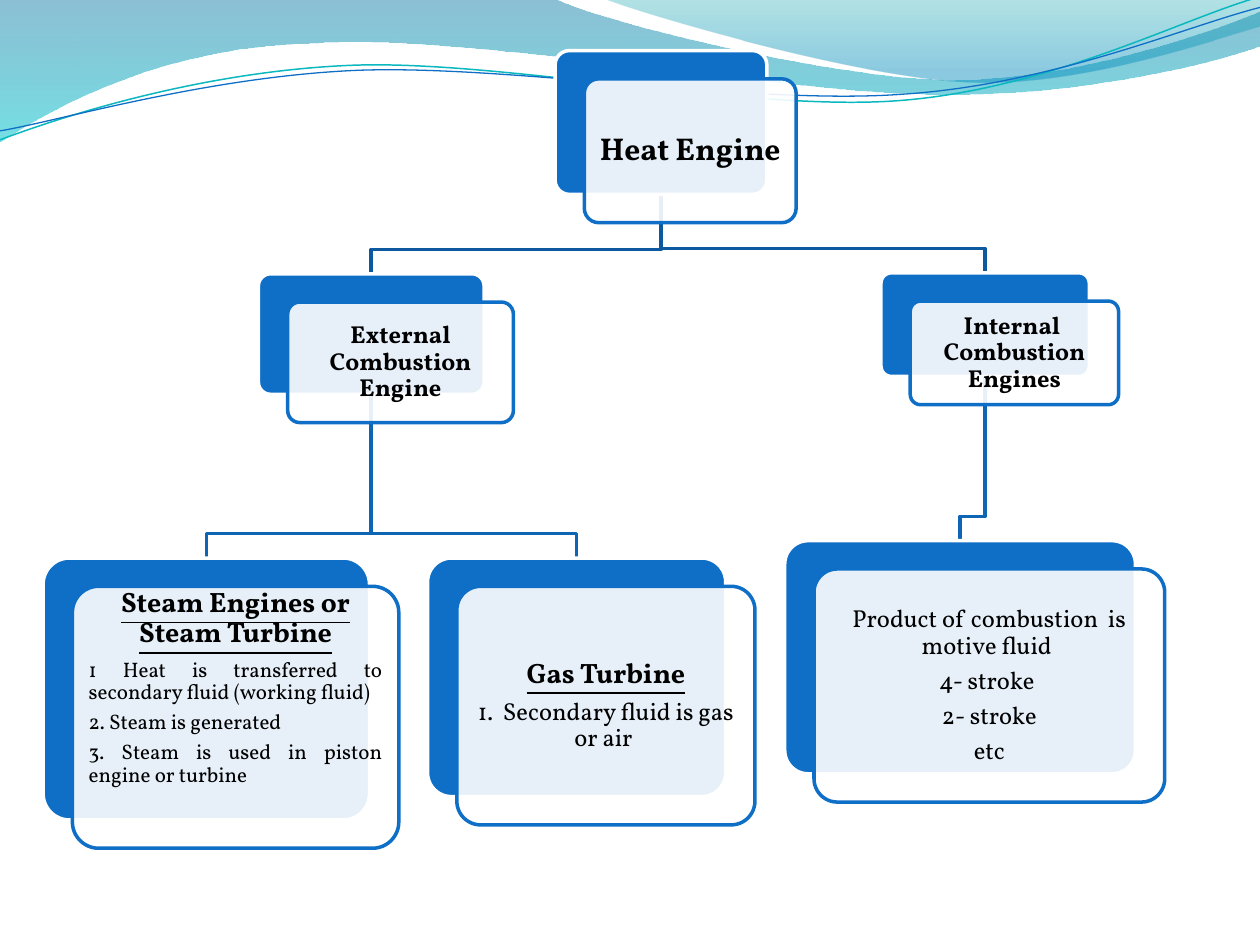
from dataclasses import dataclass
from math import cos, radians, sin
from lxml.etree import SubElement
from pptx import Presentation
from pptx.dml.color import RGBColor
from pptx.enum.shapes import MSO_SHAPE
from pptx.enum.text import MSO_ANCHOR, PP_ALIGN
from pptx.oxml.ns import qn
from pptx.util import Cm, Pt


@dataclass(frozen=True)
class Theme:
    font: str = "Vollkorn"
    blue: str = "0F6FC6"
    white: str = "FFFFFF"
    ink: str = "000000"
    teal: str = "0AB8BF"
    upper: str = "0C599F"
    lower: str = "0E65B4"
    large: int = 18
    head: int = 16
    body: int = 14
    small: int = 12
    rule: float = 2


def color(code):
    return RGBColor.from_string(code)


def fade(shape, *levels):
    """Set the opacity, in percent, of each fill colour in turn."""
    codes = shape.element.spPr.iter(qn("a:srgbClr"))
    for code, level in zip(codes, levels):
        SubElement(code, qn("a:alpha"), val=str(level * 1000))


def write(para, text, theme, size=14, bold=False, under=False, align=PP_ALIGN.CENTER):
    para.alignment = align
    para.line_spacing = 0.9
    para.space_after = Pt(size * 0.35)
    run = para.add_run()
    run.text = text
    font = run.font
    font.name, font.size = theme.font, Pt(size)
    font.bold, font.underline = bold, under
    font.color.rgb = color(theme.ink)


class Deck:
    def __init__(self, theme):
        self.theme = theme
        self.file = Presentation()
        self.file.slide_width, self.file.slide_height = Cm(25.4), Cm(19.05)
        self.slide = self.file.slides.add_slide(self.file.slide_layouts[6])

    def shape(self, points, close):
        spots = [(Cm(x), Cm(y)) for x, y in points]
        build = self.slide.shapes.build_freeform(*spots[0])
        build.add_line_segments(spots[1:], close=close)
        shape = build.convert_to_shape()
        shape.shadow.inherit = False
        return shape

    def curve(self, box, steps, close, tilt=0):
        """Fill a box with lines (x, y) and cubic curves (six numbers)."""
        left, top, wide, high = box
        right, low = left + wide, top + high
        shape = self.shape([(left, top), (right, top), (right, low), (left, low)], close)
        shape.rotation = tilt
        midx, midy, turn = left + wide / 2, top + high / 2, radians(-tilt)
        track = shape.element.find(".//" + qn("a:path"))
        for child in list(track):
            track.remove(child)
        for i, step in enumerate(steps):
            kind = "cubicBezTo" if len(step) == 6 else "lnTo" if i else "moveTo"
            node = SubElement(track, qn("a:" + kind))
            for x, y in zip(step[::2], step[1::2]):
                dx, dy = x - midx, y - midy
                px = midx + dx * cos(turn) - dy * sin(turn) - left
                py = midy + dx * sin(turn) + dy * cos(turn) - top
                SubElement(node, qn("a:pt"), x=str(int(Cm(px))), y=str(int(Cm(py))))
        if close:
            SubElement(track, qn("a:close"))
        return shape

    def wave(self, box, steps, stops):
        shape = self.curve(box, steps, True)
        shape.line.fill.background()
        shape.fill.gradient()
        shape.fill.gradient_angle = 270
        for stop, (place, code, _) in zip(shape.fill.gradient_stops, stops):
            stop.position = place
            stop.color.rgb = color(code)
        fade(shape, *(level for _, _, level in stops))

    def stroke(self, shape, code, width):
        shape.fill.background()
        shape.line.color.rgb = color(code)
        shape.line.width = Pt(width)

    def elbow(self, above, below, code):
        """Run from the bottom of one box to the top of another."""
        left, top, wide, high = above
        x, y = left + wide / 2, top + high
        end, stop = below[0] + below[2] / 2, below[1]
        turn = stop - 0.49
        shape = self.shape([(x, y), (x, turn), (end, turn), (end, stop)], False)
        self.stroke(shape, code, self.theme.rule)

    def panel(self, box, fill, line):
        panel = self.slide.shapes.add_shape(MSO_SHAPE.ROUNDED_RECTANGLE, *map(Cm, box))
        panel.adjustments[0] = 0.1
        panel.shadow.inherit = False
        panel.fill.solid()
        panel.fill.fore_color.rgb = color(fill)
        panel.line.color.rgb = color(line)
        panel.line.width = Pt(self.theme.rule)
        return panel

    def card(self, box, texts, foot=0.17):
        """Draw a blue box, a pale, shifted one in front, and its text."""
        look = self.theme
        left, top, wide, high = box
        self.panel(box, look.blue, look.white)
        left, top = left + 0.59, top + 0.57
        front = self.panel((left, top, wide, high), look.white, look.blue)
        fade(front, 90)
        inset = 0.03 * min(wide, high)
        area = (left + inset, top + inset, wide - 2 * inset, high - 2 * inset)
        frame = self.slide.shapes.add_textbox(*map(Cm, area)).text_frame
        frame.word_wrap = True
        frame.vertical_anchor = MSO_ANCHOR.MIDDLE
        frame.margin_left = frame.margin_right = frame.margin_top = Cm(0.17)
        frame.margin_bottom = Cm(foot)
        for i, (text, form) in enumerate(texts):
            para = frame.add_paragraph() if i else frame.paragraphs[0]
            write(para, text, look, **form)


def main():
    look = Theme()
    deck = Deck(look)

    # Waves along the top
    deck.wave((-0.03, -0.03, 25.45, 2.9), [
        (0, 0),
        (11.18, -0.03),
        (12.09, 0.43, 16.87, 1.6, 19.25, 1.6),
        (21.67, 1.6, 24.33, 0.66, 25.4, 0.23),
        (25.43, 0.91),
        (24.97, 1.12, 22.1, 1.93, 18.95, 1.9),
        (15.8, 1.9, 9.7, 0.71, 6.53, 0.86),
        (3.28, 0.91, 1.17, 2.11, -0.03, 2.87),
    ], [(0, "0074A1", 45), (1, "00C6CF", 55)])
    deck.wave((12.17, -0.03, 13.23, 1.78), [
        (12.17, -0.03),
        (12.93, 0.28, 17.32, 1.57, 19.53, 1.65),
        (21.74, 1.75, 24.41, 0.81, 25.4, 0.53),
        (25.4, 0),
    ], [(0, "00A1A9", 30), (0.8, "008BBF", 45)])
    teal = deck.curve((-0.05, 0.56, 25.45, 1.8), [
        (0, 2.82),
        (1.22, 2.36, 4.01, 1.45, 7.04, 1.32),
        (10.03, 1.19, 15.06, 2.26, 18.11, 2.03),
        (21.16, 1.8, 23.83, 0.38, 25.35, -0.05),
    ], False, tilt=357.3)
    deck.stroke(teal, look.teal, 0.85)
    blue = deck.curve((-0.05, 0.76, 25.48, 1.47), [
        (0, 2.64),
        (1.19, 2.44, 4.17, 1.55, 7.19, 1.42),
        (10.24, 1.3, 15.16, 2.13, 18.21, 1.9),
        (21.23, 1.7, 23.9, 0.53, 25.4, 0.15),
    ], False, tilt=357.3)
    deck.stroke(blue, look.blue, 0.75)

    # Boxes of the tree: left, top, width, height
    heat = (11.19, 1.02, 4.27, 2.9)
    outer = (5.21, 5.52, 4.55, 2.43)
    steam = (0.87, 11.25, 6.58, 5.28)
    gas = (8.62, 11.25, 6.01, 4.81)
    inner = (17.76, 5.5, 4.2, 2.09)
    fluid = (15.82, 10.9, 7.07, 4.7)

    # Branches
    for above, below, code in [
        (inner, fluid, look.lower), (heat, inner, look.upper),
        (outer, gas, look.lower), (outer, steam, look.lower),
        (heat, outer, look.upper),
    ]:
        deck.elbow(above, below, code)

    # Cards
    name = dict(size=look.body, bold=True)
    head = dict(size=look.head, bold=True, under=True)
    body = dict(size=look.body)
    note = dict(size=look.small, align=PP_ALIGN.JUSTIFY)
    deck.card(heat, [("Heat Engine", dict(size=look.large, bold=True))])
    deck.card(outer, [("External Combustion Engine", name)])
    deck.card(steam, [
        ("Steam Engines or Steam Turbine", head),
        ("1 Heat is transferred to secondary fluid (working fluid)", note),
        ("2. Steam is generated ", note),
        ("3. Steam is used in piston engine or turbine", note),
    ], foot=1.36)
    deck.card(gas, [("Gas Turbine", head),
                    ("1.  Secondary fluid is gas or air ", body)])
    deck.card(inner, [("Internal  Combustion Engines", name)])
    lines = ["Product of combustion  is motive fluid ", "4- stroke ", "2- stroke", "etc"]
    deck.card(fluid, [(line, body) for line in lines])

    deck.file.save("out.pptx")


if __name__ == "__main__":
    main()
